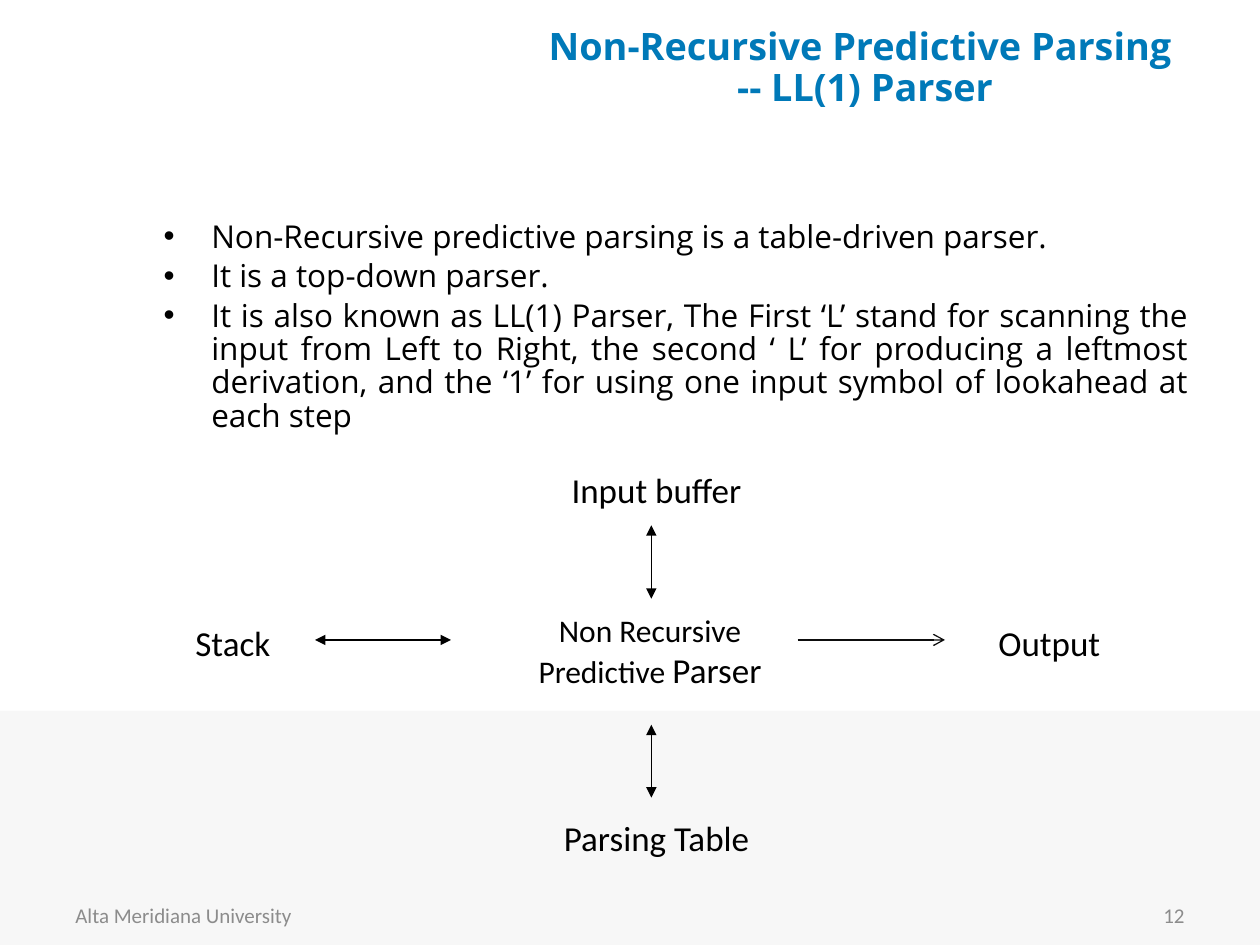
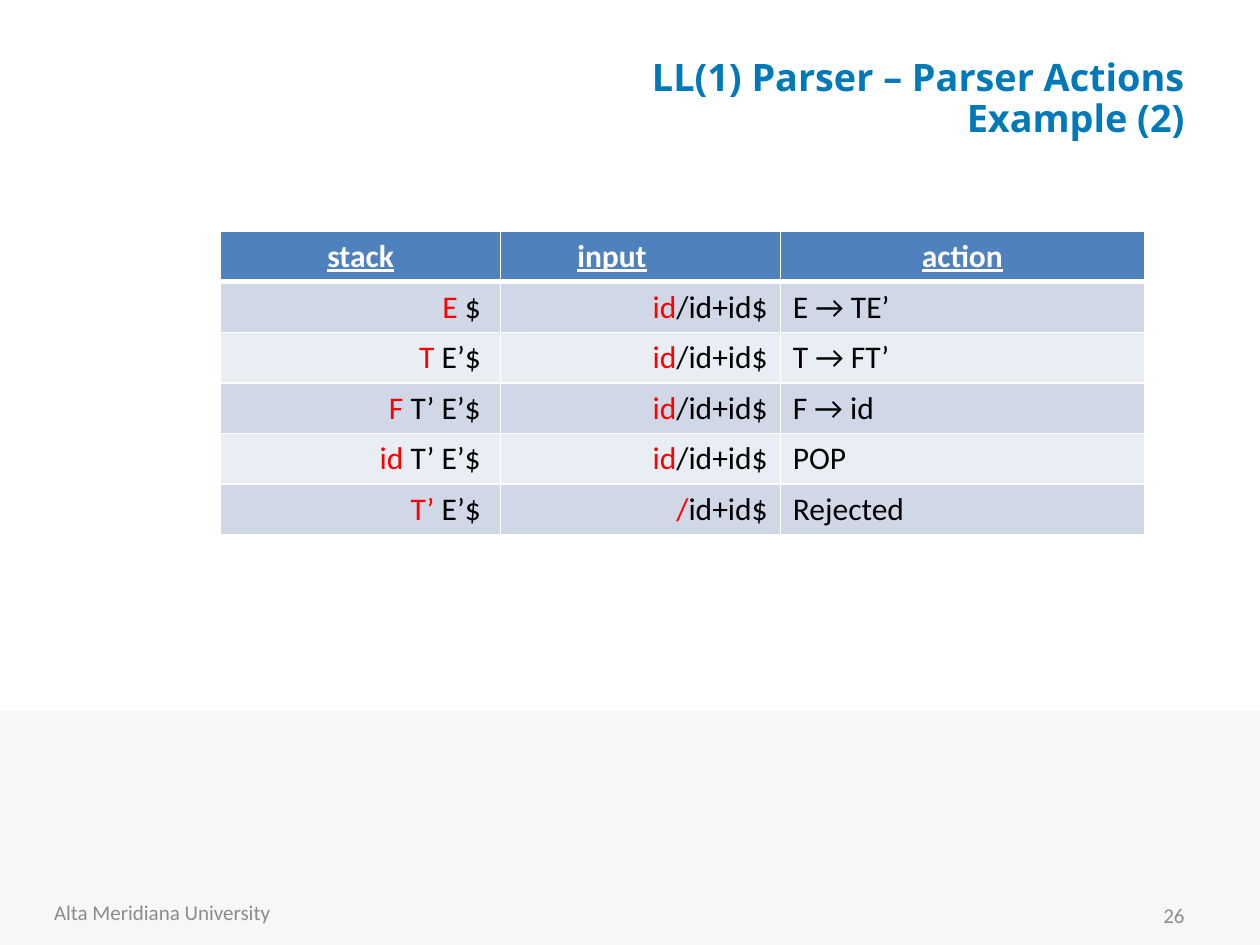
import lxml.etree
import pptx
import pptx.dml.color
import pptx.enum.shapes
import pptx.enum.text
import pptx.oxml.ns
import pptx.util

Cm, Pt = pptx.util.Cm, pptx.util.Pt
RGBColor = pptx.dml.color.RGBColor
ALIGN = pptx.enum.text.PP_ALIGN
ANCHOR = pptx.enum.text.MSO_ANCHOR
qn = pptx.oxml.ns.qn

BLACK = RGBColor(0x00, 0x00, 0x00)
NEAR_BLACK = RGBColor(0x0D, 0x0D, 0x0D)
WHITE = RGBColor(0xFF, 0xFF, 0xFF)
RED = RGBColor(0xFF, 0x00, 0x00)
TITLE_BLUE = RGBColor(0x00, 0x79, 0xB8)
FOOTER_GREY = RGBColor(0x8C, 0x8C, 0x8C)
BAND_GREY = RGBColor(0xF7, 0xF7, 0xF7)
HEADER_BLUE = RGBColor(0x4F, 0x81, 0xBD)
ROW_FILLS = [RGBColor(0xE9, 0xED, 0xF4), RGBColor(0xD0, 0xD8, 0xE8)]

TITLE = {"name": "Open Sans", "size": Pt(21.6), "bold": True, "color": TITLE_BLUE}
BODY = {"name": "Open Sans", "size": Pt(18), "color": BLACK}
FOOTER = {"name": "Calibri", "size": Pt(12), "color": FOOTER_GREY}
LABEL = {"name": "Calibri", "size": Pt(20), "color": BLACK}
CELL = {"name": "Calibri", "size": Pt(18), "color": BLACK}
HEADER = {**CELL, "bold": True, "underline": True, "color": WHITE}


def write_runs(p, runs, align, font):
    """Fill a paragraph from (text, font overrides) pairs; a "\n" text breaks the line."""
    p.alignment = align
    for text, changes in runs:
        if text == "\n":
            p.add_line_break()
            continue
        r = p.add_run()
        r.text = text
        for key, value in {**font, **changes}.items():
            if key == "color":
                r.font.color.rgb = value
            else:
                setattr(r.font, key, value)


def add_text(s, box, paragraphs, font, align=ALIGN.LEFT, anchor=ANCHOR.TOP):
    """Add a text box at (left, top, width, height) in cm."""
    tf = s.shapes.add_textbox(*[Cm(v) for v in box]).text_frame
    tf.word_wrap = True
    tf.vertical_anchor = anchor
    for i, runs in enumerate(paragraphs):
        p = tf.add_paragraph() if i else tf.paragraphs[0]
        write_runs(p, runs, align, font)
    return tf


prs = pptx.Presentation()
prs.slide_width, prs.slide_height = Cm(25.4), Cm(19.05)

# Shared parts: grey band, title, footer and slide number
pages = [
    {
        "title": [[("Non-Recursive Predictive Parsing ", {}), ("\n", {}), ("-- LL(1) Parser", {})]],
        "title_box": (9.96, 0.43, 14.96, 1.9),
        "align": ALIGN.CENTER,
        "footer_box": (1.27, 17.93, 5.92, 1.02),
        "number": "12",
    },
    {
        "title": [[("LL(1) Parser – Parser Actions", {})], [("Example (2)", {})]],
        "title_box": (9.96, 1.07, 14.17, 1.9),
        "align": ALIGN.RIGHT,
        "footer_box": (0.84, 17.73, 5.92, 1.32),
        "number": "26",
    },
]
slides = []
for page in pages:
    s = prs.slides.add_slide(prs.slide_layouts[6])
    slides.append(s)
    sp = s.shapes.add_shape(pptx.enum.shapes.MSO_SHAPE.RECTANGLE, 0, Cm(14.33), prs.slide_width, Cm(4.72))
    sp.shadow.inherit = False
    sp.fill.solid()
    sp.fill.fore_color.rgb = BAND_GREY
    sp.line.fill.background()
    tf = add_text(s, page["title_box"], page["title"], TITLE, page["align"], ANCHOR.MIDDLE)
    for p in tf.paragraphs:
        p.line_spacing = 0.9
    add_text(s, page["footer_box"], [[("Alta Meridiana University", {})]], FOOTER, anchor=ANCHOR.MIDDLE)
    add_text(s, (18.21, 17.93, 5.92, 1.02), [[(page["number"], {})]], FOOTER, ALIGN.RIGHT, ANCHOR.MIDDLE)
parser_slide, actions_slide = slides

# Slide 1: bullets
bullets = [
    "Non-Recursive predictive parsing is a table-driven parser.",
    "It is a top-down parser.",
    "It is also known as LL(1) Parser, The First ‘L’ stand for scanning the input from Left to Right, "
    "the second ‘ L’ for producing a leftmost derivation, and the ‘1’ for using one input symbol of "
    "lookahead at each step",
]
tf = add_text(parser_slide, (3.05, 4.34, 21.16, 4.17), [[(b, {})] for b in bullets], BODY, ALIGN.JUSTIFY)
for p in tf.paragraphs:
    p.line_spacing = 0.88
    p.space_before = Pt(3.6)
    pPr = p._p.get_or_add_pPr()
    pPr.set("marL", str(Cm(0.96)))
    pPr.set("indent", str(-Cm(0.96)))
    lxml.etree.SubElement(pPr, qn("a:buFont")).set("typeface", "Arial")
    lxml.etree.SubElement(pPr, qn("a:buChar")).set("char", "•")

# Slide 1: parser diagram
arrows = [
    ((6.35, 12.9), (9.09, 12.9), BLACK, {"headEnd": "triangle", "tailEnd": "triangle"}),
    ((13.13, 10.59), (13.13, 12.07), BLACK, {"headEnd": "triangle", "tailEnd": "triangle"}),
    ((13.13, 14.61), (13.13, 16.08), BLACK, {"headEnd": "triangle", "tailEnd": "triangle"}),
    ((16.08, 12.9), (19.05, 12.9), NEAR_BLACK, {"tailEnd": "arrow"}),
]
for start, end, color, ends in arrows:
    c = parser_slide.shapes.add_connector(
        pptx.enum.shapes.MSO_CONNECTOR.STRAIGHT, *[Cm(v) for v in start + end])
    c.line.color.rgb = color
    c.line.width = Pt(0.75)
    ln = c.line._get_or_add_ln()
    for tag, kind in ends.items():
        lxml.etree.SubElement(ln, qn("a:" + tag)).set("type", kind)
    lxml.etree.SubElement(c._element.spPr, qn("a:effectLst"))

small = {"size": Pt(18)}
labels = [
    ((11.23, 9.32, 4.01, 1.11), [[("Input buffer", {})]]),
    ((19.25, 12.4, 3.81, 1.11), [[("Output", {})]]),
    ((2.79, 12.4, 3.81, 1.11), [[("Stack", {})]]),
    ((10.59, 12.19, 5.03, 1.88), [[("Non Recursive", small)], [("Predictive ", small), ("Parser", {})]]),
    ((10.72, 16.33, 5.03, 1.11), [[("Parsing Table", {})]]),
]
for box, paragraphs in labels:
    add_text(parser_slide, box, paragraphs, LABEL, ALIGN.CENTER)

# Slide 2: each step gives (red part, rest) of the stack and input, then the action
steps = [
    (("E", " $ "), ("id", "/id+id$"), "E → TE’"),
    (("T", " E’$ "), ("id", "/id+id$"), "T → FT’"),
    (("F", " T’ E’$ "), ("id", "/id+id$"), "F → id"),
    (("id", " T’ E’$ "), ("id", "/id+id$"), "POP"),
    (("T’", " E’$ "), ("/", "id+id$"), "Rejected"),
]
rows = [[[(name, {})] for name in ("stack", "input", "action")]]
for stack, remaining, action in steps:
    rows.append([[(red, {"color": RED}), (rest, {})] for red, rest in (stack, remaining)] + [[(action, {})]])

col_widths = [5.64, 5.64, 7.34]
row_height = 1.02
table = actions_slide.shapes.add_table(
    len(rows), len(col_widths), Cm(4.45), Cm(4.66), Cm(sum(col_widths)), Cm(row_height * len(rows))).table
table.first_row = table.horz_banding = False
for col, width in zip(table.columns, col_widths):
    col.width = Cm(width)
for i, row in enumerate(rows):
    table.rows[i].height = Cm(row_height)
    for j, runs in enumerate(row):
        cell = table.cell(i, j)
        tcPr = cell._tc.get_or_add_tcPr()
        for side in "LRTB":
            thick = (i, side) in ((0, "B"), (1, "T"))
            ln = lxml.etree.SubElement(tcPr, qn("a:ln" + side), w=str(Pt(3 if thick else 1)))
            fill = lxml.etree.SubElement(ln, qn("a:solidFill"))
            lxml.etree.SubElement(fill, qn("a:srgbClr")).set("val", str(WHITE))
        cell.fill.solid()
        cell.fill.fore_color.rgb = ROW_FILLS[i % 2] if i else HEADER_BLUE
        if i == 0:
            align = ALIGN.CENTER
        else:
            align = ALIGN.JUSTIFY if j == 2 else ALIGN.RIGHT
        write_runs(cell.text_frame.paragraphs[0], runs, align, CELL if i else HEADER)
table.cell(0, 1).margin_right = Cm(1.4)

prs.save("out.pptx")
